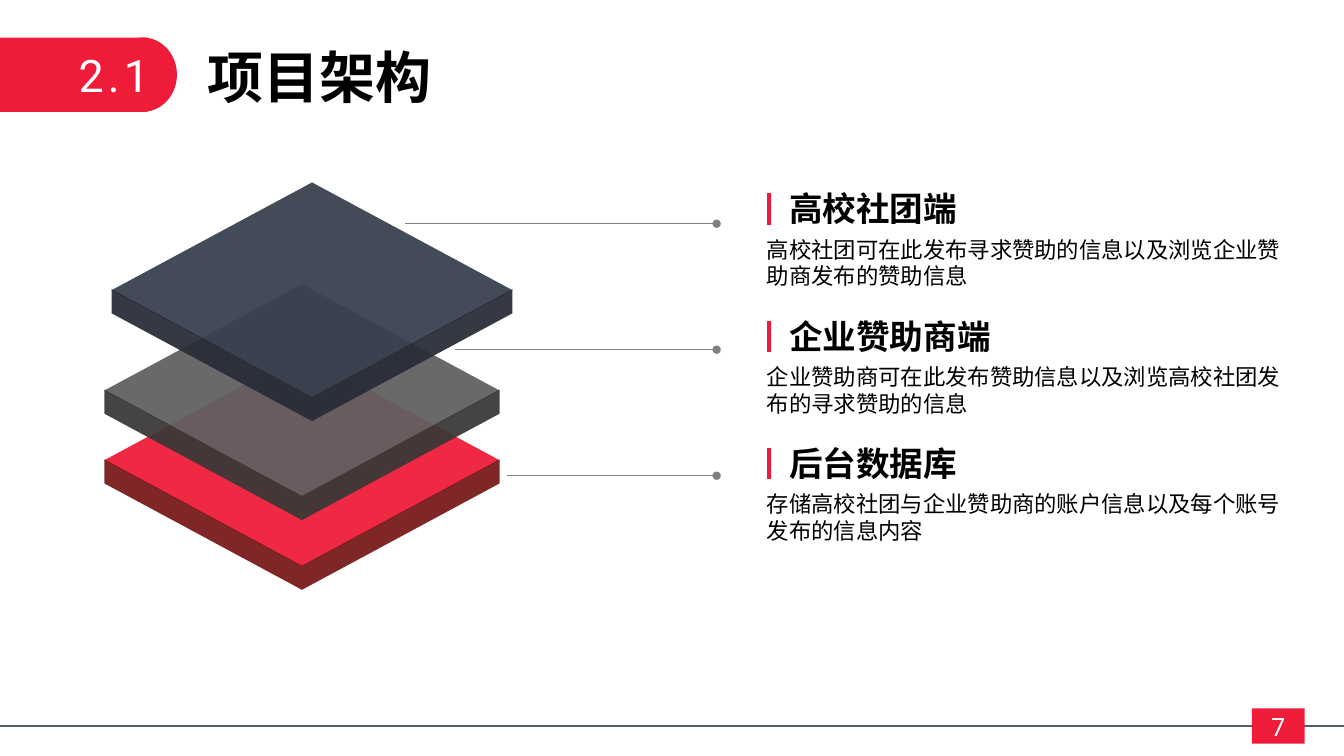
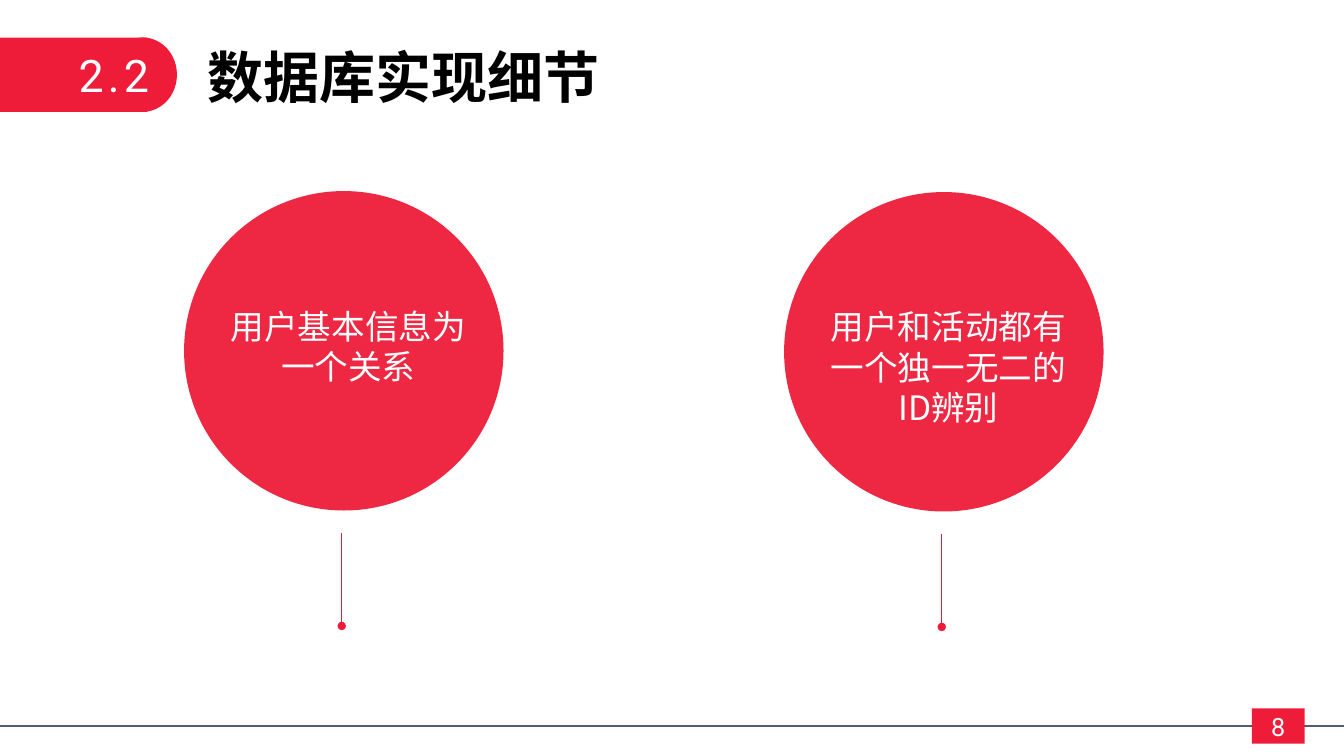
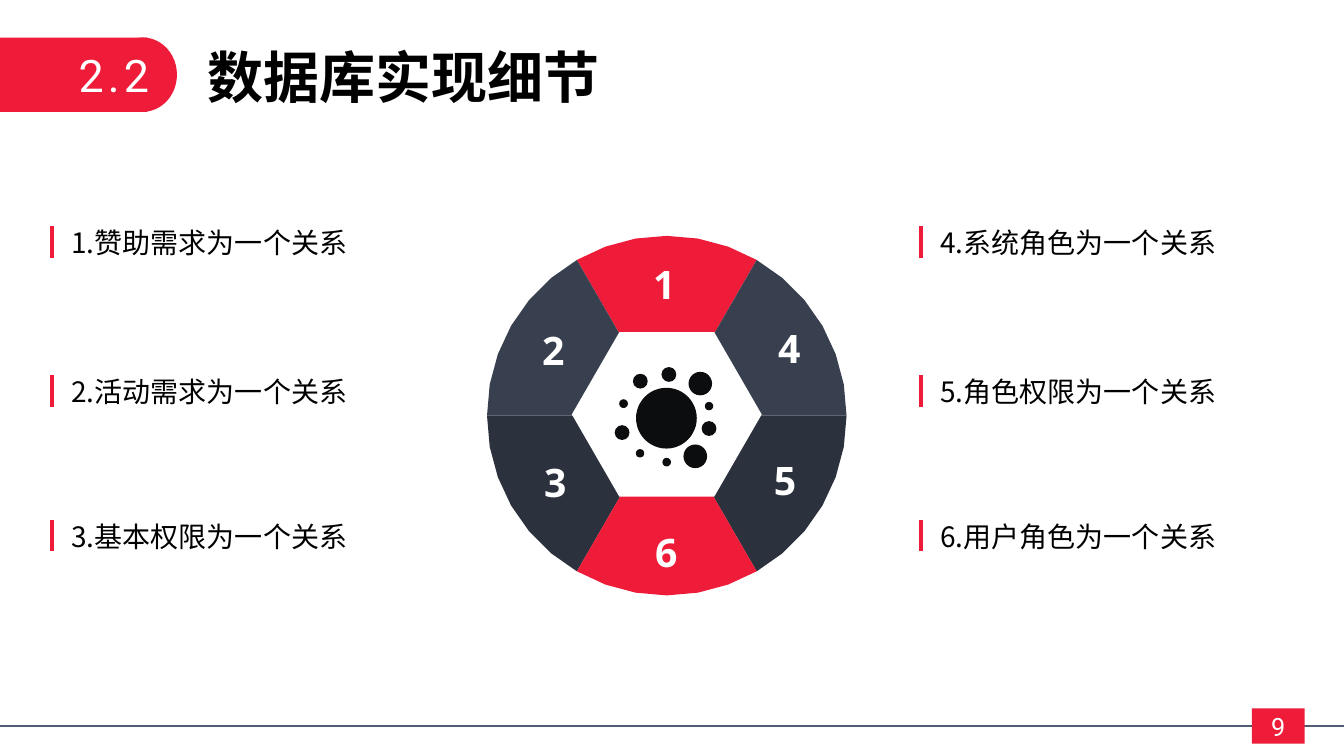
"""Build three slides on a project's architecture and its database details."""
from dataclasses import dataclass
from math import cos, radians, sin

from lxml.etree import SubElement
from pptx import Presentation
from pptx.dml.color import RGBColor
from pptx.enum.shapes import MSO_CONNECTOR, MSO_SHAPE
from pptx.enum.text import MSO_ANCHOR, MSO_AUTO_SIZE, PP_ALIGN
from pptx.oxml.ns import qn
from pptx.util import Pt


@dataclass(frozen=True)
class Theme:
    red: str = "EE1C39"
    maroon: str = "771A1A"
    grey: str = "606060"
    charcoal: str = "3B3838"
    navy: str = "383F4E"
    ink: str = "282D38"
    slate: str = "2B313D"
    rule: str = "515C73"
    leader: str = "808080"
    dot: str = "0B0D0F"
    black: str = "000000"
    white: str = "FFFFFF"
    cjk: str = "Noto Sans CJK SC"
    latin: str = "Roboto"
    digit: str = "Open Sans"
    title: int = 40
    section: int = 32
    number: int = 28
    heading: int = 24
    item: int = 20
    page: int = 18
    body: int = 16
    leading: float = 1.2


T = Theme()

FRAMES = [("2.1", "项目架构", "7"), ("2.2", "数据库实现细节", "8"), ("2.2", "数据库实现细节", "9")]

TIERS = [
    ("高校社团端", "高校社团可在此发布寻求赞助的信息以及浏览企业赞助商发布的赞助信息", 289.4),
    ("企业赞助商端", "企业赞助商可在此发布赞助信息以及浏览高校社团发布的寻求赞助的信息", 324.7),
    ("后台数据库", "存储高校社团与企业赞助商的账户信息以及每个账号发布的信息内容", 362.2),
]
PLATES = [
    (215.7, 141.2, 252.8, 76, T.red, T.maroon),
    (215.7, 141.2, 203, 76, T.grey, T.charcoal),
    (222.9, 143.2, 130.3, 77, T.navy, T.ink),
]

CIRCLES = [(131.5, 136.5, "用户基本信息为一个关系", 65.5),
           (560.1, 137.2, "用户和活动都有一个独一无二的ID辨别", 94.3)]

RELATIONS = [
    (43.9, ["1.赞助需求为一个关系", "2.活动需求为一个关系", "3.基本权限为一个关系"]),
    (664.6, ["4.系统角色为一个关系", "5.角色权限为一个关系", "6.用户角色为一个关系"]),
]
RELATION_TOPS = [157.7, 264.2, 367.2]
SECTORS = [
    ("1", 240, T.red, 440.6, 182.2),
    ("2", 180, T.navy, 361.4, 229.7),
    ("3", 120, T.slate, 362.9, 324),
    ("4", 300, T.navy, 529.9, 228.2),
    ("5", 0, T.slate, 527, 322.6),
    ("6", 60, T.red, 442.1, 373.7),
]
HUB = (476.3, 296.9)
DOTS = [
    (454.3, 277, 43.4), (491.8, 265.6, 16.8), (488.2, 317.5, 16.9),
    (439.1, 303.7, 10.6), (452.1, 267, 10.6), (501.2, 300.8, 10.6),
    (472.5, 262.2, 10.6), (454.2, 320.8, 6), (503.5, 287.1, 6),
    (473.1, 327, 6.2), (442.3, 285.2, 6.3),
]


def write(tf, text, size, color=T.black, font=T.cjk, bold=False, align=PP_ALIGN.LEFT,
          anchor=MSO_ANCHOR.TOP, inset=(7.2, 3.6), spacing=None):
    tf.word_wrap = True
    tf.auto_size = MSO_AUTO_SIZE.NONE
    tf.vertical_anchor = anchor
    tf.margin_left = tf.margin_right = Pt(inset[0])
    tf.margin_top = tf.margin_bottom = Pt(inset[1])
    p = tf.paragraphs[0]
    p.alignment = align
    p.line_spacing = Pt(T.leading * size)
    r = p.add_run()
    r.text = text
    r.font.name, r.font.size, r.font.bold = font, Pt(size), bold
    r.font.color.rgb = RGBColor.from_string(color)
    rpr = r.font._element
    SubElement(rpr, qn("a:ea")).set("typeface", font)
    if spacing:
        rpr.set("spc", str(spacing * 100))


def label(s, x, y, w, h, text, size, **fmt):
    write(s.shapes.add_textbox(Pt(x), Pt(y), Pt(w), Pt(h)).text_frame, text, size, **fmt)


def paint(sp, color, alpha=None):
    sp.shadow.inherit = False
    sp.fill.solid()
    sp.fill.fore_color.rgb = RGBColor.from_string(color)
    sp.line.fill.background()
    if alpha:
        clr = sp.element.spPr.find(qn("a:solidFill")).find(qn("a:srgbClr"))
        SubElement(clr, qn("a:alpha")).set("val", str(alpha * 1000))
    return sp


def preset(s, kind, x, y, w, h, color, alpha=None):
    return paint(s.shapes.add_shape(kind, Pt(x), Pt(y), Pt(w), Pt(h)), color, alpha)


def polygon(s, points, color, alpha=None):
    pts = [(Pt(x), Pt(y)) for x, y in points]
    fb = s.shapes.build_freeform(*pts[0], scale=1.0)
    fb.add_line_segments(pts[1:], close=True)
    return paint(fb.convert_to_shape(), color, alpha)


def line(s, x1, y1, x2, y2, color, width, tail=None):
    c = s.shapes.add_connector(MSO_CONNECTOR.STRAIGHT, Pt(x1), Pt(y1), Pt(x2), Pt(y2))
    c.line.color.rgb = RGBColor.from_string(color)
    c.line.width = Pt(width)
    pr = c.element.spPr
    if tail:
        SubElement(pr.find(qn("a:ln")), qn("a:tailEnd")).set("type", tail)
    SubElement(pr, qn("a:effectLst"))


def marker(s, x, y):
    line(s, x, y, x, y + 22.3, T.red, 3)


def arc(center, radius, start, stop, step):
    return [(center[0] + radius * cos(radians(a)), center[1] + radius * sin(radians(a)))
            for a in range(start, stop + 1, step)]


def framed_slide(prs, section, title, page):
    s = prs.slides.add_slide(prs.slide_layouts[5])
    line(s, -1.4, 518.4, 960, 518.4, T.rule, 1.5)
    sp = preset(s, MSO_SHAPE.RECTANGLE, 894.2, 506, 37.7, 25.2, T.red)
    write(sp.text_frame, page, T.page, color=T.white, font=T.latin,
          align=PP_ALIGN.CENTER, anchor=MSO_ANCHOR.MIDDLE, inset=(0, 0))
    head = s.shapes.title
    head.left, head.top, head.width, head.height = Pt(141.1), Pt(26.6), Pt(653.8), Pt(55.4)
    write(head.text_frame, title, T.title, bold=True)
    preset(s, MSO_SHAPE.RECTANGLE, -1.4, 26.8, 106.6, 53.1, T.red)
    preset(s, MSO_SHAPE.OVAL, 77.6, 26.8, 48.8, 53.1, T.red)
    label(s, 49, 30.2, 90, 46, section, T.section, color=T.white, font=T.latin, spacing=3)
    return s


def plate(s, cx, half_w, top, half_h, face, side):
    mid, bottom, thick = top + half_h, top + 2 * half_h, 17.2
    polygon(s, [(cx + half_w, mid), (cx, bottom), (cx - half_w, mid), (cx, top)], face, 94)
    for edge in (cx + half_w, cx - half_w):
        polygon(s, [(edge, mid - 0.7), (cx, bottom - 0.7), (cx, bottom + thick - 0.7),
                    (edge, mid + thick - 0.7)], side, 94)


def architecture(s):
    for row in PLATES:
        plate(s, *row)
    for i, (heading, body, start) in enumerate(TIERS):
        y = 131 + 91 * i
        leader_y = 159.8 + 90 * i
        line(s, start, leader_y, 511.9, leader_y, T.leader, 1, tail="oval")
        label(s, 556.6, y, 301, 36, heading, T.heading, bold=True)
        marker(s, 549.4, y + 7.2)
        label(s, 540.7, y + 33.8, 396, 46, body, T.body)


def circles(s):
    for x, y, text, h in CIRCLES:
        preset(s, MSO_SHAPE.OVAL, x, y, 228.2, 228.2, T.red, 95)
        label(s, x + 20.4, y + 78.1, 193.7, h, text, T.heading, color=T.white,
              align=PP_ALIGN.CENTER)
        line(s, x + 112.6, y + 244.4, x + 112.6, y + 310.6, T.red, 0.5, tail="oval")


def relations(s):
    for _, start, color, _, _ in SECTORS:
        polygon(s, [HUB] + arc(HUB, 128.4, start, start + 60, 10), color)
    polygon(s, arc((HUB[0], HUB[1] - 0.9), 67.8, 0, 300, 60), T.white)
    for x, y, d in DOTS:
        preset(s, MSO_SHAPE.OVAL, x, y, d, d, T.dot)
    for number, _, _, x, y in SECTORS:
        label(s, x, y, 67.7, 41, number, T.number, color=T.white, font=T.digit,
              bold=True, align=PP_ALIGN.CENTER)
    for x, items in RELATIONS:
        for y, text in zip(RELATION_TOPS, items):
            label(s, x, y, 301, 31.7, text, T.item)
            marker(s, x - 6.9, y + 4)


prs = Presentation()
prs.slide_width, prs.slide_height = Pt(960), Pt(540)
for frame, fill_in in zip(FRAMES, (architecture, circles, relations)):
    fill_in(framed_slide(prs, *frame))
prs.save("out.pptx")
